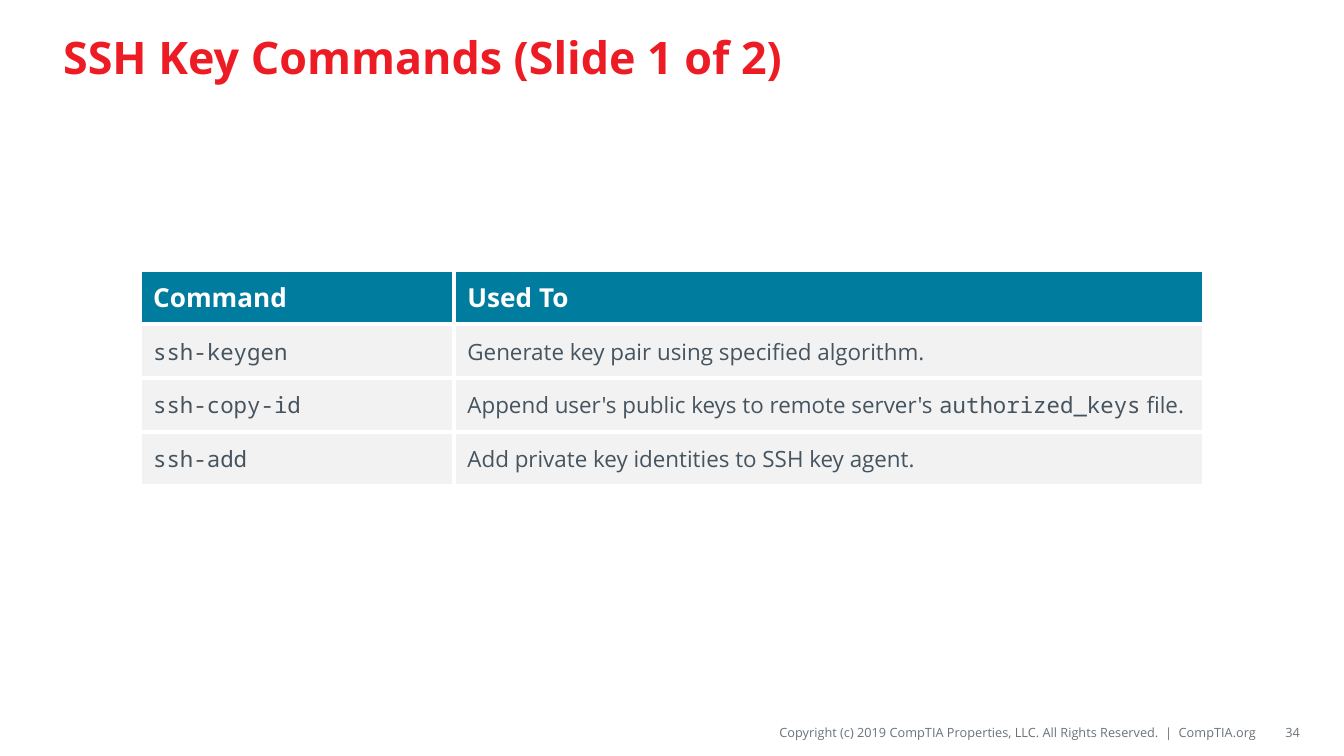
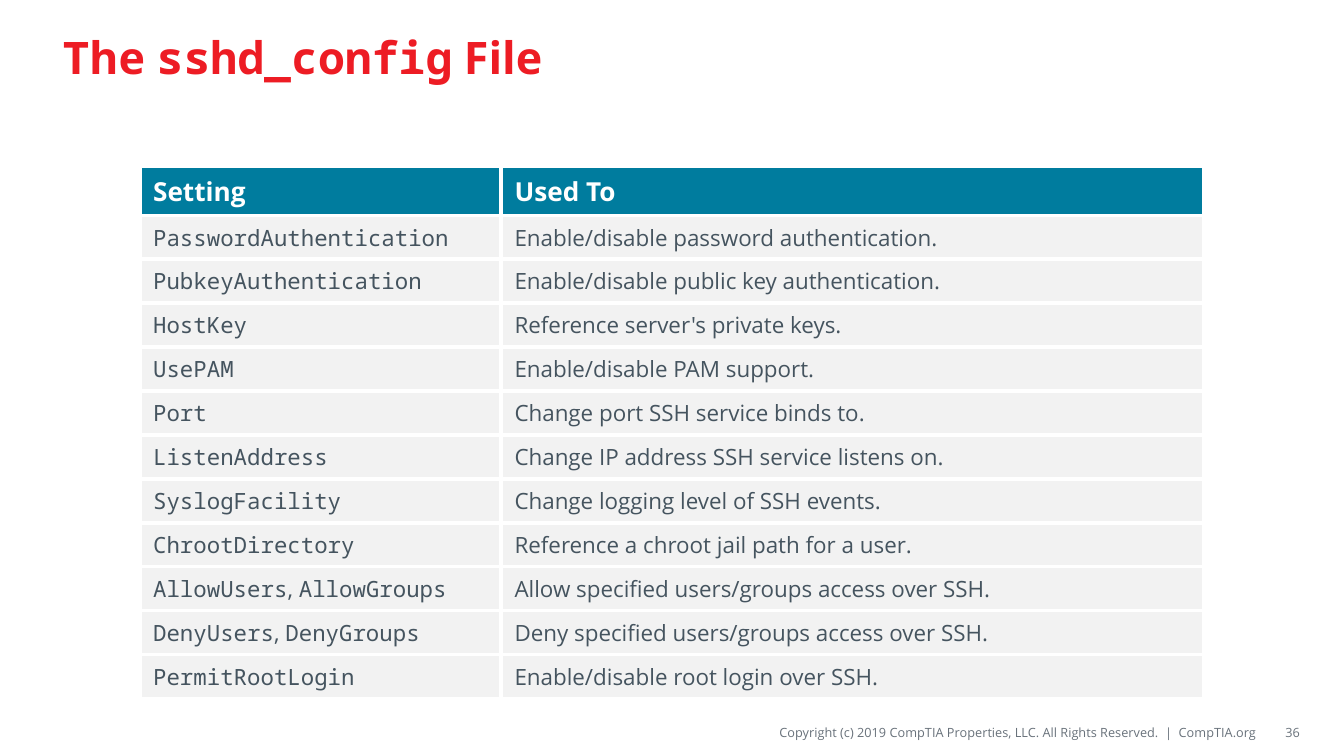
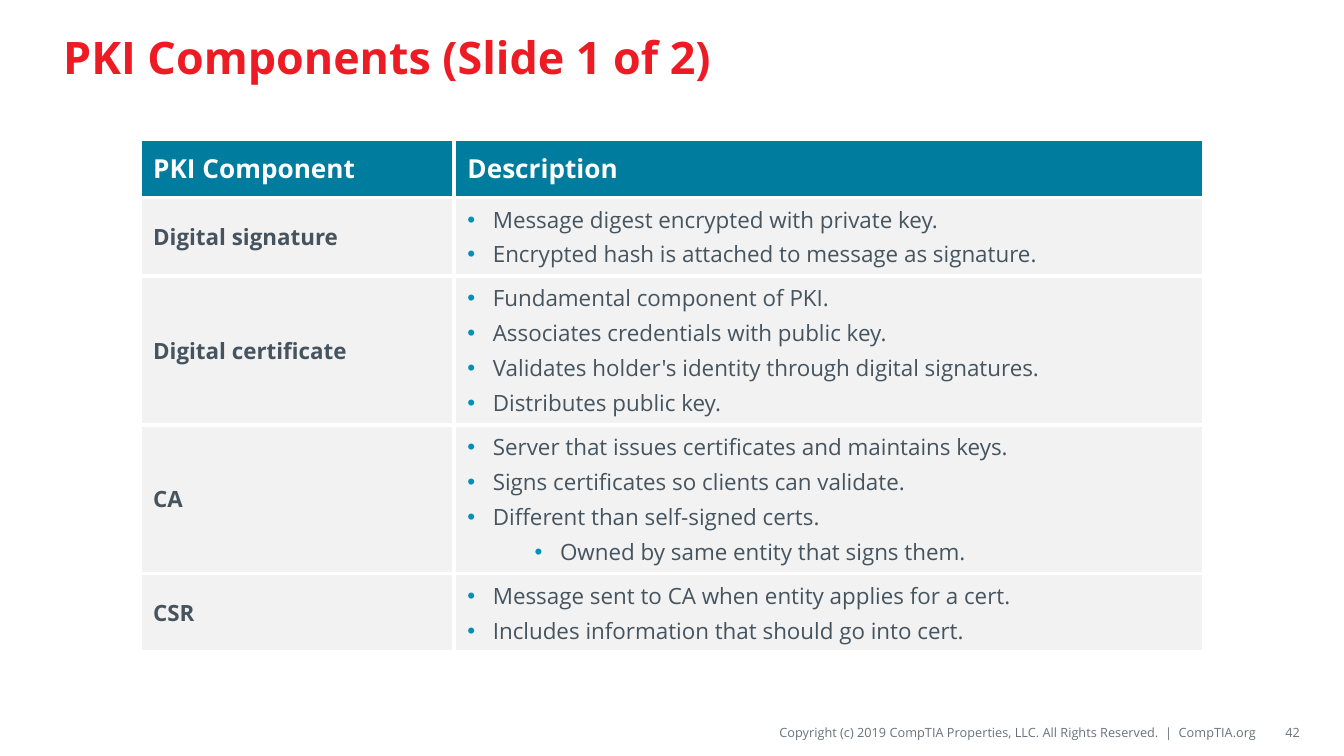
from dataclasses import dataclass

from lxml import etree
from pptx import Presentation
from pptx.dml.color import RGBColor
from pptx.enum.text import MSO_ANCHOR, PP_ALIGN
from pptx.oxml.ns import qn
from pptx.util import Cm, Pt

MIDDLE = MSO_ANCHOR.MIDDLE
LEFT = PP_ALIGN.LEFT
RIGHT = PP_ALIGN.RIGHT
TITLE_ONLY = 5


@dataclass(frozen=True)
class Theme:
    title_color: str = "ED1C24"
    header_fill: str = "007C9E"
    header_color: str = "FFFFFF"
    body_fill: str = "F2F2F2"
    body_color: str = "45545F"
    bullet_color: str = "0090B9"
    border_color: str = "FFFFFF"
    footer_color: str = "69727B"
    text_font: str = "Open Sans"
    code_font: str = "Noto Sans Mono"
    title_size: float = 24
    header_size: float = 14
    body_size: float = 12
    footer_size: float = 6.8
    bullet_gap: float = 2.4
    border_width: float = 2.25


THEME = Theme()
COPYRIGHT = "Copyright (c) 2019 CompTIA Properties, LLC. All Rights Reserved.  |  CompTIA.org"


@dataclass(frozen=True)
class Area:
    left: float
    top: float
    width: float
    height: float

    def place(self, shape) -> None:
        shape.left, shape.top = Cm(self.left), Cm(self.top)
        shape.width, shape.height = Cm(self.width), Cm(self.height)


@dataclass(frozen=True)
class Bullet:
    text: str
    level: int = 0


@dataclass(frozen=True)
class Row:
    label: str
    details: str | tuple[Bullet, ...]


@dataclass(frozen=True)
class TablePage:
    title: str
    number: int
    top: float
    label_width: float
    heights: tuple[float, ...]
    header: Row
    rows: tuple[Row, ...]
    bold_labels: bool = False


TITLE_AREA = Area(0.94, 0.2, 23.5, 1.75)
COPYRIGHT_AREA = Area(9.86, 13.56, 13.89, 0.56)
NUMBER_AREA = Area(23.83, 13.56, 0.74, 0.56)
TABLE_LEFT = 2.64
TABLE_WIDTH = 20.12

PAGES = (
    TablePage(
        "SSH Key Commands (Slide 1 of 2)", 34, 5.11, 5.94, (1.02,) * 4,
        Row("Command", "Used To"),
        (
            Row("`ssh-keygen`", "Generate key pair using specified algorithm."),
            Row("`ssh-copy-id`",
                "Append user's public keys to remote server's `authorized_keys` file."),
            Row("`ssh-add`", "Add private key identities to SSH key agent."),
        ),
    ),
    TablePage(
        "The `sshd_config` File", 36, 3.15, 6.83, (0.92,) + (0.83,) * 11,
        Row("Setting", "Used To"),
        (
            Row("`PasswordAuthentication`", "Enable/disable password authentication."),
            Row("`PubkeyAuthentication`", "Enable/disable public key authentication."),
            Row("`HostKey`", "Reference server's private keys."),
            Row("`UsePAM`", "Enable/disable PAM support."),
            Row("`Port`", "Change port SSH service binds to."),
            Row("`ListenAddress`", "Change IP address SSH service listens on."),
            Row("`SyslogFacility`", "Change logging level of SSH events."),
            Row("`ChrootDirectory`", "Reference a chroot jail path for a user."),
            Row("`AllowUsers`, `AllowGroups`",
                "Allow specified users/groups access over SSH."),
            Row("`DenyUsers`, `DenyGroups`",
                "Deny specified users/groups access over SSH."),
            Row("`PermitRootLogin`", "Enable/disable root login over SSH."),
        ),
    ),
    TablePage(
        "PKI Components (Slide 1 of 2)", 42, 2.64, 5.94, (1.09, 1.49, 2.81, 2.81, 1.49),
        Row("PKI Component", "Description"),
        (
            Row("Digital signature", (
                Bullet("Message digest encrypted with private key."),
                Bullet("Encrypted hash is attached to message as signature."),
            )),
            Row("Digital certificate", (
                Bullet("Fundamental component of PKI."),
                Bullet("Associates credentials with public key."),
                Bullet("Validates holder's identity through digital signatures."),
                Bullet("Distributes public key."),
            )),
            Row("CA", (
                Bullet("Server that issues certificates and maintains keys."),
                Bullet("Signs certificates so clients can validate."),
                Bullet("Different than self-signed certs."),
                Bullet("Owned by same entity that signs them.", level=1),
            )),
            Row("CSR", (
                Bullet("Message sent to CA when entity applies for a cert."),
                Bullet("Includes information that should go into cert."),
            )),
        ),
        bold_labels=True,
    ),
)


def write_text(para, text: str, *, size: float, color: str,
               bold: bool = False, align=LEFT) -> None:
    para.alignment = align
    for index, part in enumerate(text.split("`")):
        if not part:
            continue
        span = para.add_run()
        span.text = part
        span.font.name = THEME.code_font if index % 2 else THEME.text_font
        span.font.size = Pt(size)
        span.font.bold = bold
        span.font.color.rgb = RGBColor.from_string(color)


def add_bullet(para, level: int) -> None:
    para.level = level
    properties = para._p.get_or_add_pPr()
    properties.set("marL", str(Cm(0.48 + 1.27 * level)))
    properties.set("indent", str(-Cm(0.48)))
    color = etree.SubElement(properties, qn("a:buClr"))
    etree.SubElement(color, qn("a:srgbClr"), val=THEME.bullet_color)
    etree.SubElement(properties, qn("a:buFont"), typeface="Arial")
    etree.SubElement(properties, qn("a:buChar"), char="•")


def add_borders(cell) -> None:
    properties = cell._tc.get_or_add_tcPr()
    for side in ("lnL", "lnR", "lnT", "lnB"):
        line = etree.SubElement(properties, qn(f"a:{side}"), w=str(Pt(THEME.border_width)))
        fill = etree.SubElement(line, qn("a:solidFill"))
        etree.SubElement(fill, qn("a:srgbClr"), val=THEME.border_color)


def fill_cell(cell, content: str | tuple[Bullet, ...], *, fill: str, size: float,
              color: str, bold: bool) -> None:
    add_borders(cell)
    cell.fill.solid()
    cell.fill.fore_color.rgb = RGBColor.from_string(fill)
    cell.vertical_anchor = MIDDLE
    frame = cell.text_frame
    if isinstance(content, str):
        write_text(frame.paragraphs[0], content, size=size, color=color, bold=bold)
        return
    for index, bullet in enumerate(content):
        para = frame.add_paragraph() if index else frame.paragraphs[0]
        add_bullet(para, bullet.level)
        if index:
            para.space_before = Pt(THEME.bullet_gap)
        write_text(para, bullet.text, size=size, color=color, bold=bold)


def add_footer(page, area: Area, text: str) -> None:
    box = page.shapes.add_textbox(0, 0, 0, 0)
    area.place(box)
    frame = box.text_frame
    frame.word_wrap = True
    frame.vertical_anchor = MIDDLE
    frame.margin_left = frame.margin_right = 0
    frame.margin_top = frame.margin_bottom = Cm(0.1)
    write_text(frame.paragraphs[0], text, size=THEME.footer_size,
               color=THEME.footer_color, align=RIGHT)


def add_title(page, text: str) -> None:
    title = page.shapes.title
    TITLE_AREA.place(title)
    title.text_frame.vertical_anchor = MIDDLE
    write_text(title.text_frame.paragraphs[0], text, size=THEME.title_size,
               color=THEME.title_color, bold=True)


def add_rows(page, content: TablePage) -> None:
    rows = (content.header, *content.rows)
    table = page.shapes.add_table(
        len(rows), 2, Cm(TABLE_LEFT), Cm(content.top),
        Cm(TABLE_WIDTH), Cm(sum(content.heights)),
    ).table
    table.horz_banding = False
    table.columns[0].width = Cm(content.label_width)
    table.columns[1].width = Cm(TABLE_WIDTH - content.label_width)
    for index, (row, height) in enumerate(zip(rows, content.heights)):
        table.rows[index].height = Cm(height)
        is_header = index == 0
        style = {
            "fill": THEME.header_fill if is_header else THEME.body_fill,
            "size": THEME.header_size if is_header else THEME.body_size,
            "color": THEME.header_color if is_header else THEME.body_color,
        }
        fill_cell(table.cell(index, 0), row.label,
                  bold=is_header or content.bold_labels, **style)
        fill_cell(table.cell(index, 1), row.details, bold=is_header, **style)


def main() -> None:
    deck = Presentation()
    deck.slide_width, deck.slide_height = Cm(25.4), Cm(14.29)
    for content in PAGES:
        page = deck.slides.add_slide(deck.slide_layouts[TITLE_ONLY])
        add_footer(page, COPYRIGHT_AREA, COPYRIGHT)
        add_title(page, content.title)
        add_footer(page, NUMBER_AREA, str(content.number))
        add_rows(page, content)
    deck.save("out.pptx")


if __name__ == "__main__":
    main()
